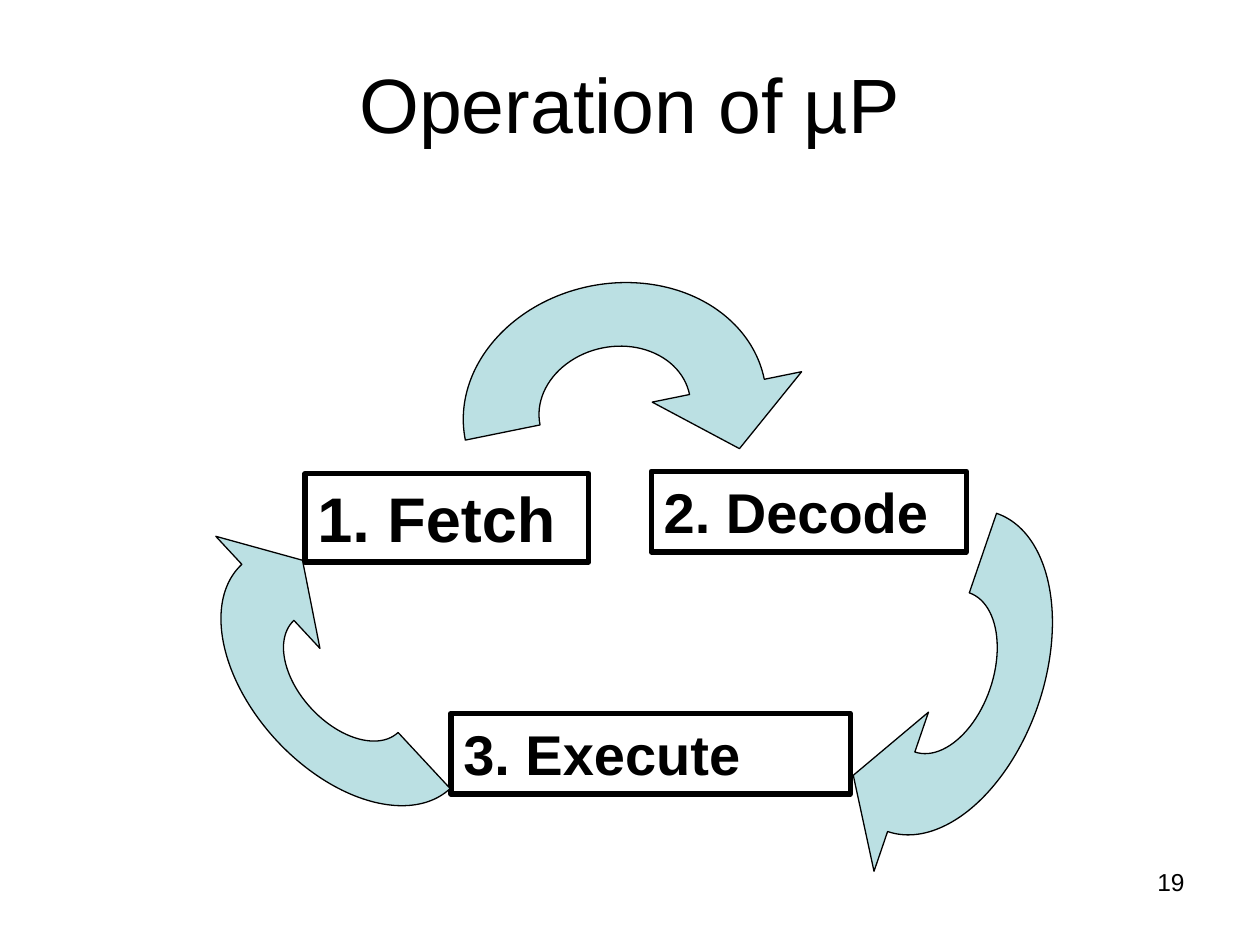
import lxml.etree
import pptx
import pptx.dml.color
import pptx.enum.shapes
import pptx.enum.text
import pptx.oxml.ns
import pptx.util

Cm = pptx.util.Cm
Align = pptx.enum.text.PP_ALIGN
Anchor = pptx.enum.text.MSO_ANCHOR
BLACK = pptx.dml.color.RGBColor(0x00, 0x00, 0x00)
PALE_TEAL = pptx.dml.color.RGBColor(0xBB, 0xE0, 0xE3)

# Half-ring arrow on an 8 x 8 grid: inner arc, tail, outer arc, arrowhead.
HALF_TURN = 180 * 60000
ARROW_STEPS = [
    ("moveTo", (6, 4)),
    ("arcTo", dict(wR=2, hR=2, stAng=0, swAng=-HALF_TURN)),
    ("lnTo", (0, 4)),
    ("arcTo", dict(wR=4, hR=4, stAng=HALF_TURN, swAng=HALF_TURN)),
    ("lnTo", (9, 4)),
    ("lnTo", (7, 6)),
    ("lnTo", (5, 4)),
    ("close", None),
]
GRID = 8
UNIT = 1000

# Boxes are left, top, width, height in centimetres.
STAGES = [
    ("1. Fetch", (6.15, 9.55, 5.72, 1.78), 36),
    ("2. Decode", (13.13, 9.5, 6.35, 1.63), 32),
    ("3. Execute", (9.09, 14.38, 8.05, 1.63), 32),
]
ARROWS = [
    ((3.89, 11.73, 6.17, 3.81), 227.1),
    ((15.6, 11.51, 6.78, 4.09), 108.9),
    ((9.32, 5.72, 6.15, 5.08), 348.5),
]


def write_text(shape, text, size, bold=False, align=Align.LEFT, anchor=Anchor.TOP):
    frame = shape.text_frame
    frame.word_wrap = True
    frame.vertical_anchor = anchor
    paragraph = frame.paragraphs[0]
    paragraph.alignment = align
    run = paragraph.add_run()
    run.text = text
    run.font.name = "Arial"
    run.font.size = pptx.util.Pt(size)
    run.font.bold = bold
    run.font.color.rgb = BLACK


def add_label(slide, box, text, size, **text_format):
    shape = slide.shapes.add_textbox(*map(Cm, box))
    write_text(shape, text, size, **text_format)


def add_stage(slide, box, text, size):
    shape = slide.shapes.add_shape(
        pptx.enum.shapes.MSO_SHAPE.RECTANGLE, *map(Cm, box))
    shape.shadow.inherit = False
    shape.fill.background()
    shape.line.color.rgb = BLACK
    shape.line.width = pptx.util.Pt(3)
    write_text(shape, text, size, bold=True)


def draw_arrow_path(path):
    """Replace the straight outline of a freeform path with ARROW_STEPS."""
    for child in list(path):
        path.remove(child)
    path.set("w", str(GRID * UNIT))
    path.set("h", str(GRID * UNIT))
    for name, values in ARROW_STEPS:
        step = lxml.etree.SubElement(path, pptx.oxml.ns.qn(f"a:{name}"))
        if name == "arcTo":
            for key, value in values.items():
                scale = UNIT if key.endswith("R") else 1
                step.set(key, str(value * scale))
        elif values:
            x, y = values
            lxml.etree.SubElement(step, pptx.oxml.ns.qn("a:pt"),
                                  x=str(x * UNIT), y=str(y * UNIT))


def add_cycle_arrow(slide, box, rotation):
    left, top, width, height = map(Cm, box)
    builder = slide.shapes.build_freeform(left, top)
    builder.add_line_segments([(left + width, top), (left + width, top + height)])
    shape = builder.convert_to_shape()
    draw_arrow_path(next(shape.element.iter(pptx.oxml.ns.qn("a:path"))))
    shape.rotation = rotation
    shape.shadow.inherit = False
    shape.fill.solid()
    shape.fill.fore_color.rgb = PALE_TEAL
    shape.line.color.rgb = BLACK
    shape.line.width = pptx.util.Pt(0.75)


def main():
    presentation = pptx.Presentation()
    presentation.slide_width = Cm(25.4)
    presentation.slide_height = Cm(19.05)
    slide = presentation.slides.add_slide(presentation.slide_layouts[6])

    add_label(slide, (1.27, 0.76, 22.86, 2.62), "Operation of µP", 44,
              align=Align.CENTER, anchor=Anchor.MIDDLE)
    for text, box, size in STAGES:
        add_stage(slide, box, text, size)
    for box, rotation in ARROWS:
        add_cycle_arrow(slide, box, rotation)
    add_label(slide, (18.21, 17.35, 5.92, 1.32), "19", 14, align=Align.RIGHT)

    presentation.save("out.pptx")


if __name__ == "__main__":
    main()
